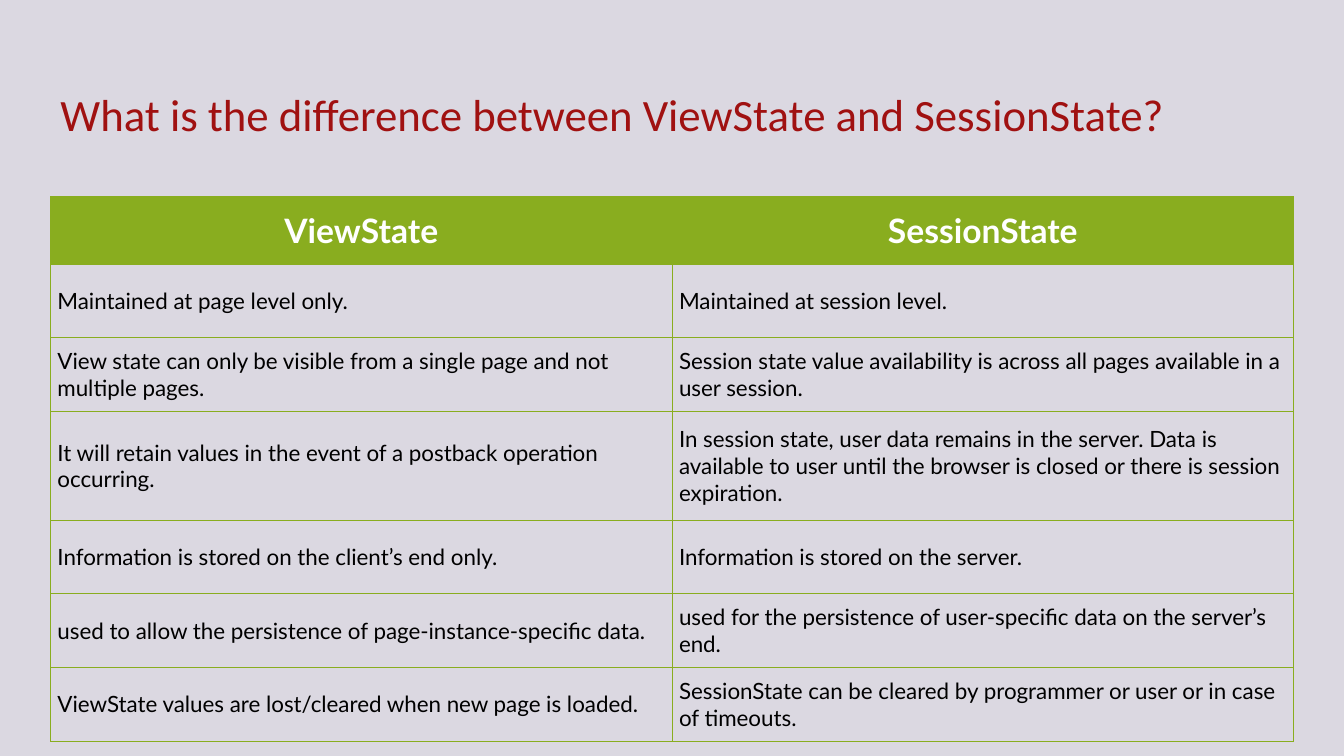
"""Build a slide with a table comparing ViewState and SessionState."""
from dataclasses import dataclass

from lxml import etree
from pptx import Presentation
from pptx import util as u
from pptx.dml import color
from pptx.enum import text
from pptx.oxml import ns

GREEN = "89AD1F"
BACKGROUND = "DBD8E1"
TITLE = "What is the difference between ViewState and SessionState?"
COLUMN_WIDTH = 6.165


@dataclass(frozen=True)
class TextStyle:
    font: dict[str, object]
    color: str
    alignment: text.PP_ALIGN = text.PP_ALIGN.LEFT


@dataclass(frozen=True)
class ComparisonRow:
    view_state: str
    session_state: str
    height: float = 0.725


TITLE_STYLE = TextStyle({"name": "Calibri", "size": u.Pt(32), "bold": False}, "A01111")
HEADER_STYLE = TextStyle(
    {"name": "Lato", "size": u.Pt(24), "bold": True}, "FFFFFF", text.PP_ALIGN.CENTER
)
BODY_STYLE = TextStyle({"name": "Lato", "size": u.Pt(16), "bold": False}, "000000")

ROWS = [
    ComparisonRow("ViewState", "SessionState", 0.67),
    ComparisonRow("Maintained at page level only.", "Maintained at session level."),
    ComparisonRow(
        "View state can only be visible from a single page and not multiple pages.",
        "Session state value availability is across all pages available in a user session.",
    ),
    ComparisonRow(
        "It will retain values in the event of a postback operation occurring.",
        "In session state, user data remains in the server. Data is available to user "
        "until the browser is closed or there is session expiration.",
        1.09,
    ),
    ComparisonRow(
        "Information is stored on the client’s end only.",
        "Information is stored on the server.",
    ),
    ComparisonRow(
        "used to allow the persistence of page-instance-specific data.",
        "used for the persistence of user-specific data on the server’s end.",
    ),
    ComparisonRow(
        "ViewState values are lost/cleared when new page is loaded.",
        "SessionState can be cleared by programmer or user or in case of timeouts.",
    ),
]


def rgb(value: str) -> color.RGBColor:
    return color.RGBColor.from_string(value)


def write_text(frame, content: str, style: TextStyle) -> None:
    paragraph = frame.paragraphs[0]
    paragraph.alignment = style.alignment
    run = paragraph.add_run()
    run.text = content
    for name, value in style.font.items():
        setattr(run.font, name, value)
    run.font.color.rgb = rgb(style.color)


def draw_borders(cell) -> None:
    properties = cell._tc.get_or_add_tcPr()
    for position, side in enumerate(("lnL", "lnR", "lnT", "lnB")):
        line = etree.Element(ns.qn(f"a:{side}"), w=str(u.Pt(0.5)))
        fill = etree.SubElement(line, ns.qn("a:solidFill"))
        etree.SubElement(fill, ns.qn("a:srgbClr"), val=GREEN)
        properties.insert(position, line)


def draw_cell(cell, content: str, is_header: bool) -> None:
    vertical = u.Inches(0.07 if is_header else 0.1)
    layout = {
        "vertical_anchor": text.MSO_ANCHOR.MIDDLE,
        "margin_left": u.Inches(0.07),
        "margin_right": u.Inches(0.07),
        "margin_top": vertical,
        "margin_bottom": vertical,
    }
    for name, value in layout.items():
        setattr(cell, name, value)
    if is_header:
        cell.fill.solid()
        cell.fill.fore_color.rgb = rgb(GREEN)
    else:
        cell.fill.background()
    draw_borders(cell)
    write_text(cell.text_frame, content, HEADER_STYLE if is_header else BODY_STYLE)


def draw_title(slide) -> None:
    title = slide.shapes.title
    title.left, title.top = u.Inches(0.5), u.Inches(0.4)
    title.width, title.height = u.Inches(11.92), u.Inches(1.45)
    title.text_frame.vertical_anchor = text.MSO_ANCHOR.MIDDLE
    write_text(title.text_frame, TITLE, TITLE_STYLE)


def draw_table(slide, rows: list[ComparisonRow]) -> None:
    table = slide.shapes.add_table(
        len(rows), 2, u.Inches(0.5), u.Inches(1.95),
        u.Inches(2 * COLUMN_WIDTH), u.Inches(sum(row.height for row in rows)),
    ).table
    table.horz_banding = False
    for column in table.columns:
        column.width = u.Inches(COLUMN_WIDTH)
    for index, row in enumerate(rows):
        table.rows[index].height = u.Inches(row.height)
        for column_index, content in enumerate((row.view_state, row.session_state)):
            draw_cell(table.cell(index, column_index), content, index == 0)


def main() -> None:
    presentation = Presentation()
    presentation.slide_width = u.Inches(13.33)
    presentation.slide_height = u.Inches(7.5)
    slide = presentation.slides.add_slide(presentation.slide_layouts.get_by_name("Title Only"))
    slide.background.fill.solid()
    slide.background.fill.fore_color.rgb = rgb(BACKGROUND)
    draw_title(slide)
    draw_table(slide, ROWS)
    presentation.save("out.pptx")


if __name__ == "__main__":
    main()
